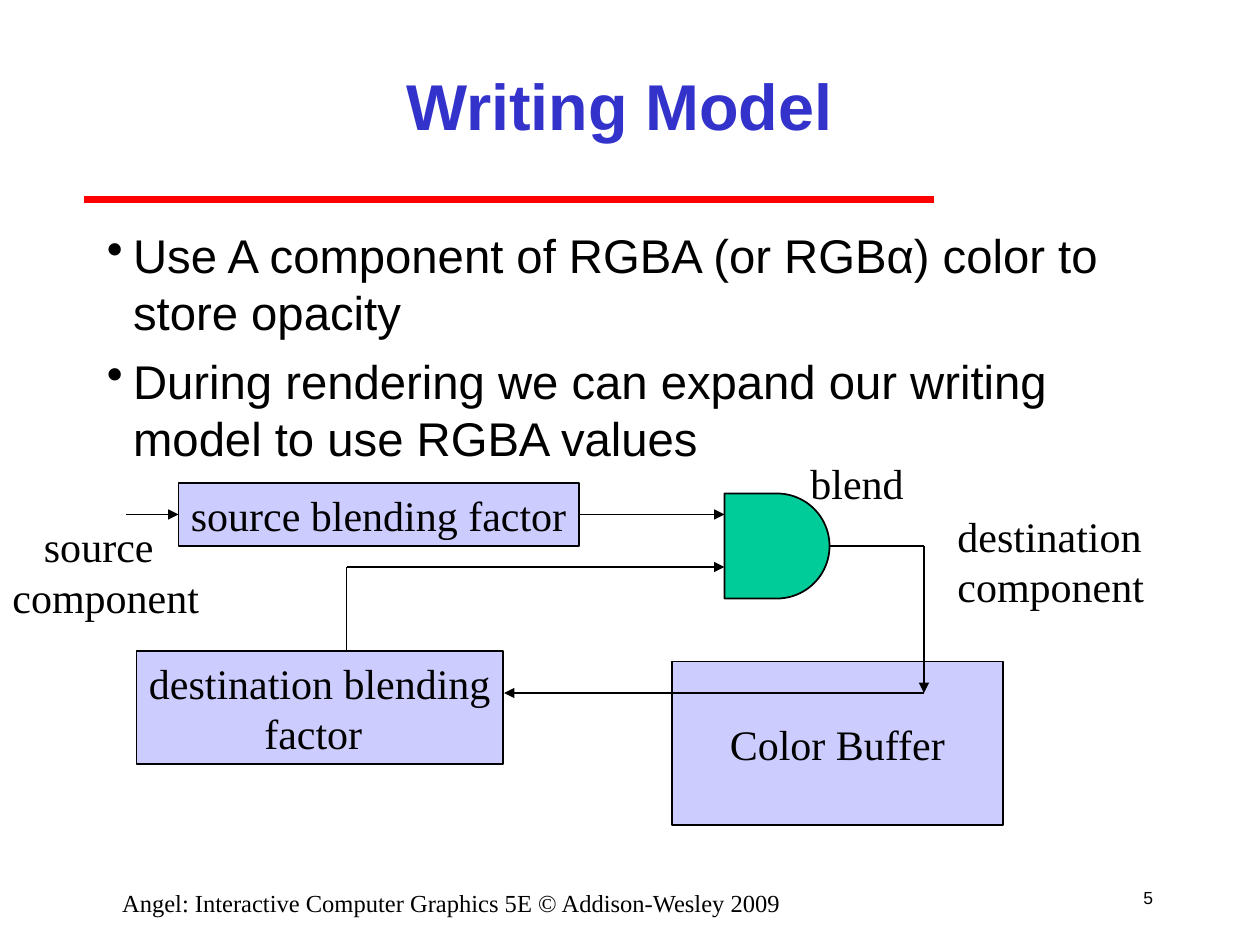
from dataclasses import dataclass

from lxml.etree import SubElement
from pptx import Presentation
from pptx.dml.color import RGBColor
from pptx.enum.shapes import MSO_CONNECTOR, MSO_SHAPE
from pptx.enum.text import MSO_ANCHOR, PP_ALIGN
from pptx.oxml.ns import qn
from pptx.util import Pt


@dataclass(frozen=True)
class Theme:
    """Colours, fonts and type sizes of the slide."""
    ink: str = "000000"
    title: str = "3333CC"
    rule: str = "FF0000"
    panel: str = "CCCCFF"
    gate: str = "00CC99"
    sans: str = "Arial"
    serif: str = "Times New Roman"
    head: float = 37
    body: float = 27
    label: float = 24
    foot: float = 14
    page: float = 10


THEME = Theme()


def write(shape, lines, size, font=THEME.serif, color=THEME.ink, bold=False,
          align=PP_ALIGN.LEFT, anchor=MSO_ANCHOR.TOP, wrap=True, inset=0,
          gap=0, bullet=None):
    """Fill a shape with one paragraph per line."""
    frame = shape.text_frame
    frame.word_wrap = wrap
    frame.vertical_anchor = anchor
    for i, line in enumerate(lines):
        para = frame.add_paragraph() if i else frame.paragraphs[0]
        props = para._p.get_or_add_pPr()
        if bullet:
            props.set("marL", str(Pt(15)))
            props.set("indent", str(-Pt(15)))
            SubElement(props, qn("a:buChar"), char=bullet)
        elif inset and lines.index(line) == inset[0]:
            props.set("marL", str(Pt(inset[1])))
        para.alignment = align
        para.space_before = Pt(gap if i else 0)
        run = para.add_run()
        run.text = line
        run.font.size = Pt(size)
        run.font.name = font
        run.font.bold = bold
        run.font.color.rgb = RGBColor.from_string(color)


def text(slide, box, lines, size, **style):
    """Add a text box."""
    shape = slide.shapes.add_textbox(*map(Pt, box))
    write(shape, lines, size, **style)


def block(slide, kind, box, fill):
    """Add a filled shape with a thin outline."""
    shape = slide.shapes.add_shape(kind, *map(Pt, box))
    shape.shadow.inherit = False
    shape.fill.solid()
    shape.fill.fore_color.rgb = RGBColor.from_string(fill)
    shape.line.color.rgb = RGBColor.from_string(THEME.ink)
    shape.line.width = Pt(1)
    return shape


def line(slide, start, end, color=THEME.ink, width=1, arrow=False):
    """Add a straight line, with an arrowhead at its end if asked."""
    link = slide.shapes.add_connector(
        MSO_CONNECTOR.STRAIGHT, *map(Pt, (*start, *end)))
    link.line.color.rgb = RGBColor.from_string(color)
    link.line.width = Pt(width)
    if arrow:
        SubElement(link.line._get_or_add_ln(), qn("a:tailEnd"), type="triangle")
    SubElement(link._element.spPr, qn("a:effectLst"))
    return link


def header(slide, box):
    """Place the title and the rule below it."""
    x, y, w, h = box
    line(slide, (x, y + h), (x + 486, y + h), THEME.rule, 4)
    text(slide, (x + 60, y, 492, 84), ["Writing Model"], THEME.head,
         font=THEME.sans, color=THEME.title, bold=True,
         align=PP_ALIGN.CENTER, anchor=MSO_ANCHOR.MIDDLE)


def points(slide, box):
    """Place the bulleted text."""
    text(slide, box, [
        "Use A component of RGBA (or RGBα) color to store opacity",
        "During rendering we can expand our writing model to use RGBA values",
    ], THEME.body, font=THEME.sans, gap=6.8, bullet="•")


def diagram(slide, box):
    """Place the blending diagram."""
    x, y, w, h = box

    def at(dx, dy, *size):
        return (x + dx, y + dy, *size)

    gate = block(slide, MSO_SHAPE.FLOWCHART_DELAY, at(414, 24, 60, 60), THEME.gate)
    panels = (
        (at(384, 120, 189, 93.6), ["Color Buffer"],
         dict(align=PP_ALIGN.CENTER, anchor=MSO_ANCHOR.MIDDLE)),
        (at(78, 114, 209.5, 64.8), ["destination blending", "factor"],
         dict(wrap=False, inset=(1, 66))),
        (at(102, 18, 229, 36), ["source blending factor"], dict(wrap=False)),
    )
    for area, lines, style in panels:
        source = block(slide, MSO_SHAPE.RECTANGLE, area, THEME.panel)
        write(source, lines, THEME.label, **style)

    out = line(slide, at(474, 54), at(528, 54))
    out.begin_connect(gate, 3)
    line(slide, at(528, 54), at(528, 138), arrow=True)
    line(slide, at(528, 138), at(288, 138), arrow=True)
    line(slide, at(198, 66), at(198, 114))
    line(slide, at(198, 66), at(414, 66), arrow=True)
    feed = line(slide, at(331, 36), at(414, 36), arrow=True)
    feed.begin_connect(source, 3)
    entry = line(slide, at(72, 36), at(102, 36), arrow=True)
    entry.end_connect(source, 1)

    labels = (
        (at(540, 30, 121, 64.8), ["destination", "component"], 0),
        (at(456, 0, 67.7, 36), ["blend"], 0),
        (at(0, 36, 121, 64.8), ["source", "component"], (0, 18)),
    )
    for area, lines, inset in labels:
        text(slide, area, lines, THEME.label, wrap=False, inset=inset)


def footer(slide, box):
    """Place the credit line and the slide number."""
    x, y, w, h = box
    text(slide, (x + w - 30, y, 30, 30), ["5"], THEME.page, font=THEME.sans,
         align=PP_ALIGN.RIGHT, anchor=MSO_ANCHOR.MIDDLE)
    text(slide, (x, y + 6, 444, 18),
         ["Angel: Interactive Computer Graphics 5E © Addison-Wesley 2009"],
         THEME.foot, align=PP_ALIGN.CENTER)


def main():
    """Build and save the slide."""
    deck = Presentation()
    deck.slide_width, deck.slide_height = Pt(720), Pt(540)
    slide = deck.slides.add_slide(deck.slide_layouts[6])
    header(slide, (48, 18, 624, 96))
    points(slide, (54, 126, 612, 372))
    diagram(slide, (0, 258, 720, 214))
    footer(slide, (36, 498, 630, 30))
    deck.save("out.pptx")


if __name__ == "__main__":
    main()
